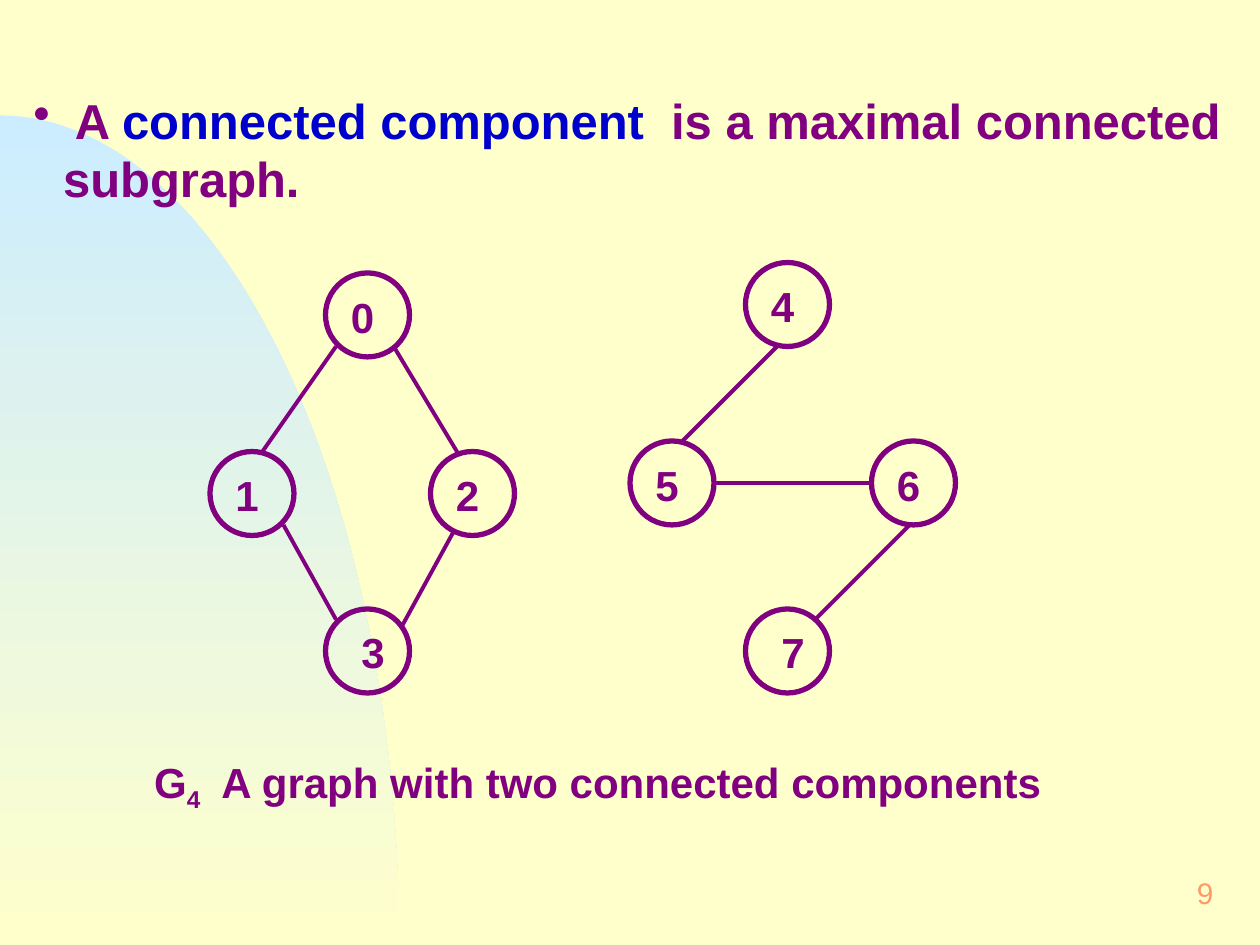
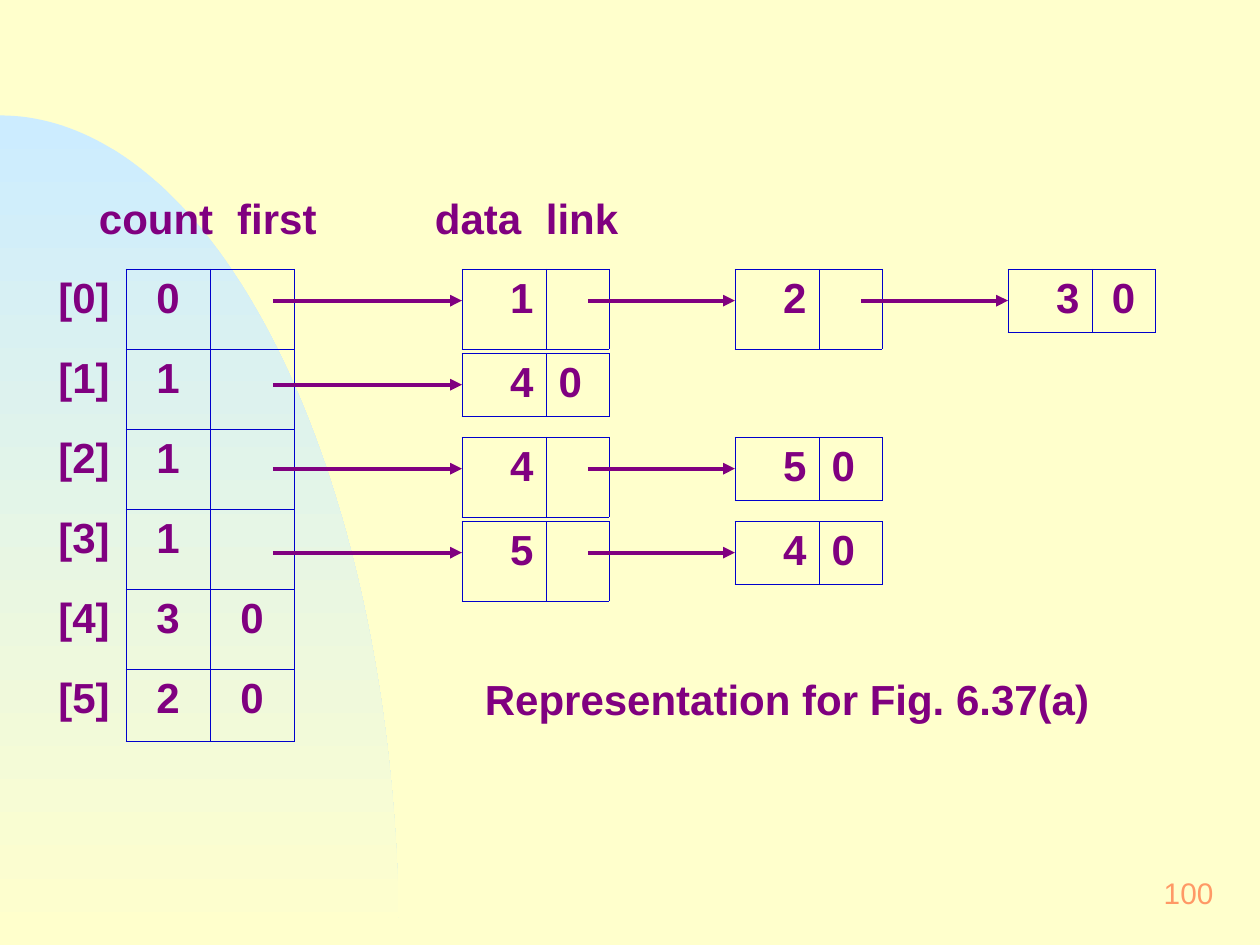
import math

from pptx import Presentation
from pptx.dml.color import RGBColor
from pptx.enum.shapes import MSO_CONNECTOR, MSO_SHAPE
from pptx.enum.text import MSO_ANCHOR, PP_ALIGN
from pptx.oxml.ns import qn
from pptx.util import Pt
from lxml import etree

STRAIGHT = MSO_CONNECTOR.STRAIGHT
ELLIPSE = MSO_SHAPE.OVAL
MIDDLE = MSO_ANCHOR.MIDDLE
LEFT, CENTER, RIGHT = PP_ALIGN.LEFT, PP_ALIGN.CENTER, PP_ALIGN.RIGHT

PALE_YELLOW = RGBColor(0xFF, 0xFF, 0xCC)
PALE_BLUE = RGBColor(0xCC, 0xEC, 0xFF)
DARK_PURPLE = RGBColor(0x80, 0x00, 0x80)
DARK_BLUE = RGBColor(0x00, 0x00, 0xCC)
LIGHT_RED = RGBColor(0xFF, 0x99, 0x66)

FONT = "Arial"
SLIDE_WIDTH, SLIDE_HEIGHT = 720, 540
BODY_SIZE = 24
NARROW_INSET, WIDE_INSET = (7.2, 3.6), (8.6, 4.3)
LABEL_HEIGHT = 37.4

# Graph: node corners and edge ends, relative to the graph's box
NODE_SIZE = 48
LABEL_SHIFT, WIDE_LABEL_SHIFT = 6, 12
NODES = {
    "0": (66, 6), "1": (0, 108), "2": (126, 108), "3": (66, 198),
    "4": (306, 0), "5": (240, 102), "6": (378, 102), "7": (306, 198),
}
WIDE_SHIFTED = ("3", "7")
EDGES = [
    (72, 48, 30, 108), (105.4, 48.7, 141.4, 108.5),
    (42, 150, 72, 204), (139.2, 153.8, 109.7, 207.8),
    (324, 48, 270, 102), (288, 126, 378, 126), (399.8, 150, 345.8, 204),
]

# Adjacency lists: index rows and the chain that starts in each
INDEX_ROWS = [
    ("[0]", "0", ""), ("[1]", "1", ""), ("[2]", "1", ""),
    ("[3]", "1", ""), ("[4]", "3", "0"), ("[5]", "2", "0"),
]
CHAINS = [["1", "2", "3"], ["4"], ["4", "5"], ["5", "4"]]
DATA_WIDTH, LINK_WIDTH = 48, 36
TALL_ROW, LOW_ROW, LAST_INDEX_ROW = 45.7, 36, 41.5
CHAIN_LEFT, CHAIN_STEP, CHAIN_PITCH = 240, 156, 48
HEADING_SHIFT = 24
# An arrow starts this far into its cell
ARROW_INDENT = {"index": DATA_WIDTH * 2 + 36, "node": DATA_WIDTH + 24}


def set_font(font, color=DARK_PURPLE, size=BODY_SIZE, bold=True):
    font.name = FONT
    font.size = Pt(size)
    font.bold = bold
    font.color.rgb = color


def add_text(slide, box, text="", tab=None, align=LEFT, inset=NARROW_INSET, **font):
    """Add a text box with one paragraph and return that paragraph."""
    frame = slide.shapes.add_textbox(*map(Pt, box)).text_frame
    frame.word_wrap = True
    frame.margin_left = frame.margin_right = Pt(inset[0])
    frame.margin_top = frame.margin_bottom = Pt(inset[1])
    paragraph = frame.paragraphs[0]
    paragraph.text = text
    paragraph.alignment = align
    if tab:
        tab_list = etree.SubElement(paragraph._p.get_or_add_pPr(), qn("a:tabLst"))
        etree.SubElement(tab_list, qn("a:tab"), pos=str(int(Pt(tab))), algn="l")
    set_font(paragraph.font, **font)
    return paragraph


def add_line(slide, start_x, start_y, end_x, end_y, arrow=False):
    line = slide.shapes.add_connector(
        STRAIGHT, Pt(start_x), Pt(start_y), Pt(end_x), Pt(end_y))
    line.line.color.rgb = DARK_PURPLE
    line.line.width = Pt(2.25)
    if arrow:
        etree.SubElement(line.line._get_or_add_ln(), qn("a:tailEnd"), type="triangle")
    etree.SubElement(line._element.spPr, qn("a:effectLst"))


def set_borders(cell, sides):
    """Draw the given sides of a cell and clear the others."""
    properties = cell._tc.get_or_add_tcPr()
    for side in "LRTB":
        border = etree.SubElement(properties, qn("a:ln" + side), w=str(int(Pt(0.45))))
        if side in sides:
            fill = etree.SubElement(border, qn("a:solidFill"))
            etree.SubElement(fill, qn("a:srgbClr"), val=str(DARK_BLUE))
        else:
            etree.SubElement(border, qn("a:noFill"))


def add_table(slide, left, top, widths, heights, rows, aligns, open_column=None):
    """Add a ruled table; open_column keeps only its right-hand rule."""
    table = slide.shapes.add_table(
        len(heights), len(widths), Pt(left), Pt(top),
        Pt(sum(widths)), Pt(sum(heights))).table
    table.first_row = table.horz_banding = False
    for column, width in zip(table.columns, widths):
        column.width = Pt(width)
    for row, height in zip(table.rows, heights):
        row.height = Pt(height)
    for row_number, values in enumerate(rows):
        for column_number, value in enumerate(values):
            cell = table.cell(row_number, column_number)
            set_borders(cell, "R" if column_number == open_column else "LRTB")
            cell.fill.background()
            paragraph = cell.text_frame.paragraphs[0]
            paragraph.text = value
            paragraph.alignment = aligns[column_number]
            set_font(paragraph.font)


def add_corner_arc(slide, width, height):
    """Quarter ellipse rising from the lower left corner."""
    steps = 90
    angles = [math.pi / 2 * step / steps for step in range(steps + 1)]
    points = [(Pt(width * math.sin(angle)),
               Pt(SLIDE_HEIGHT - height * math.cos(angle))) for angle in angles]
    builder = slide.shapes.build_freeform(0, Pt(SLIDE_HEIGHT))
    builder.add_line_segments(points, close=True)
    arc = builder.convert_to_shape()
    arc.shadow.inherit = False
    arc.line.fill.background()
    arc.fill.gradient()
    arc.fill.gradient_angle = 270
    for stop, color, position in zip(
            arc.fill.gradient_stops, (PALE_BLUE, PALE_YELLOW), (0, 1)):
        stop.color.rgb = color
        stop.position = position


def add_base_slide(presentation, number):
    """Blank slide with the shared background, arc and page number."""
    slide = presentation.slides.add_slide(presentation.slide_layouts[6])
    slide.background.fill.solid()
    slide.background.fill.fore_color.rgb = PALE_YELLOW
    add_corner_arc(slide, 228, 474)
    add_text(slide, (552, 492, 150, 36), str(number), align=RIGHT,
             inset=WIDE_INSET, color=LIGHT_RED, size=17, bold=False)
    slide.shapes[-1].text_frame.vertical_anchor = MIDDLE
    return slide


def add_definition(slide, box):
    paragraph = add_text(slide, box, size=28)
    # Hanging bullet
    properties = paragraph._p.get_or_add_pPr()
    properties.set("marL", str(int(Pt(17))))
    properties.set("indent", str(int(Pt(-17))))
    properties.insert(0, etree.Element(qn("a:buChar"), char="•"))
    for text, color in ((" A ", DARK_PURPLE), ("connected component ", DARK_BLUE),
                        (" is a maximal connected subgraph.", DARK_PURPLE)):
        run = paragraph.add_run()
        run.text = text
        run.font.color.rgb = color


def add_graph(slide, left, top):
    # Edges
    for start_x, start_y, end_x, end_y in EDGES:
        add_line(slide, left + start_x, top + start_y, left + end_x, top + end_y)
    # Nodes with their labels
    for label, (x, y) in NODES.items():
        circle = slide.shapes.add_shape(
            ELLIPSE, Pt(left + x), Pt(top + y), Pt(NODE_SIZE), Pt(NODE_SIZE))
        circle.shadow.inherit = False
        circle.fill.background()
        circle.line.color.rgb = DARK_PURPLE
        circle.line.width = Pt(3)
        shift = WIDE_LABEL_SHIFT if label in WIDE_SHIFTED else LABEL_SHIFT
        add_text(slide, (left + x + shift, top + y + LABEL_SHIFT, 36, LABEL_HEIGHT),
                 label, inset=WIDE_INSET)


def add_graph_caption(slide, box):
    paragraph = add_text(slide, box, tab=38.5)
    for text in ("G", "4", "\tA graph with two connected components"):
        paragraph.add_run().text = text
    paragraph.runs[1]._r.get_or_add_rPr().set("baseline", "-25000")


def add_adjacency_lists(slide, left, top):
    # Column headings
    for x, text, tab in ((HEADING_SHIFT, "count\tfirst", 79),
                         (CHAIN_LEFT - HEADING_SHIFT, "data\tlink", 63.4)):
        add_text(slide, (left + x, top - 48, 150, LABEL_HEIGHT), text, tab=tab,
                 inset=WIDE_INSET)

    # Index table
    heights = [TALL_ROW] * (len(INDEX_ROWS) - 1) + [LAST_INDEX_ROW]
    add_table(slide, left, top, [DATA_WIDTH] * 3, heights, INDEX_ROWS,
              [CENTER] * 3, open_column=0)

    # Chains of nodes, each reached by an arrow
    for row_number, chain in enumerate(CHAINS):
        node_top = top + row_number * CHAIN_PITCH
        arrow_y = node_top + LOW_ROW / 2
        arrow_start = left + ARROW_INDENT["index"]
        for position, value in enumerate(chain):
            node_left = left + CHAIN_LEFT + position * CHAIN_STEP
            is_last = position == len(chain) - 1
            add_line(slide, arrow_start, arrow_y, node_left, arrow_y, arrow=True)
            add_table(slide, node_left, node_top, [DATA_WIDTH, LINK_WIDTH],
                      [LOW_ROW if is_last else TALL_ROW],
                      [(value, "0" if is_last else "")],
                      [RIGHT, CENTER if position == 2 else LEFT])
            arrow_start = node_left + ARROW_INDENT["node"]


def build_component_slide(presentation):
    slide = add_base_slide(presentation, 9)
    add_definition(slide, (12, 48, 696, 75))
    add_graph(slide, 120, 150)
    add_graph_caption(slide, (81, 428.5, 545, 40))


def build_representation_slide(presentation):
    slide = add_base_slide(presentation, 100)
    add_adjacency_lists(slide, 24, 153.8)
    add_text(slide, (270, 381.6, 390, 36), "Representation for Fig. 6.37(a)")


def main():
    presentation = Presentation()
    presentation.slide_width = Pt(SLIDE_WIDTH)
    presentation.slide_height = Pt(SLIDE_HEIGHT)
    build_component_slide(presentation)
    build_representation_slide(presentation)
    presentation.save("out.pptx")


if __name__ == "__main__":
    main()
